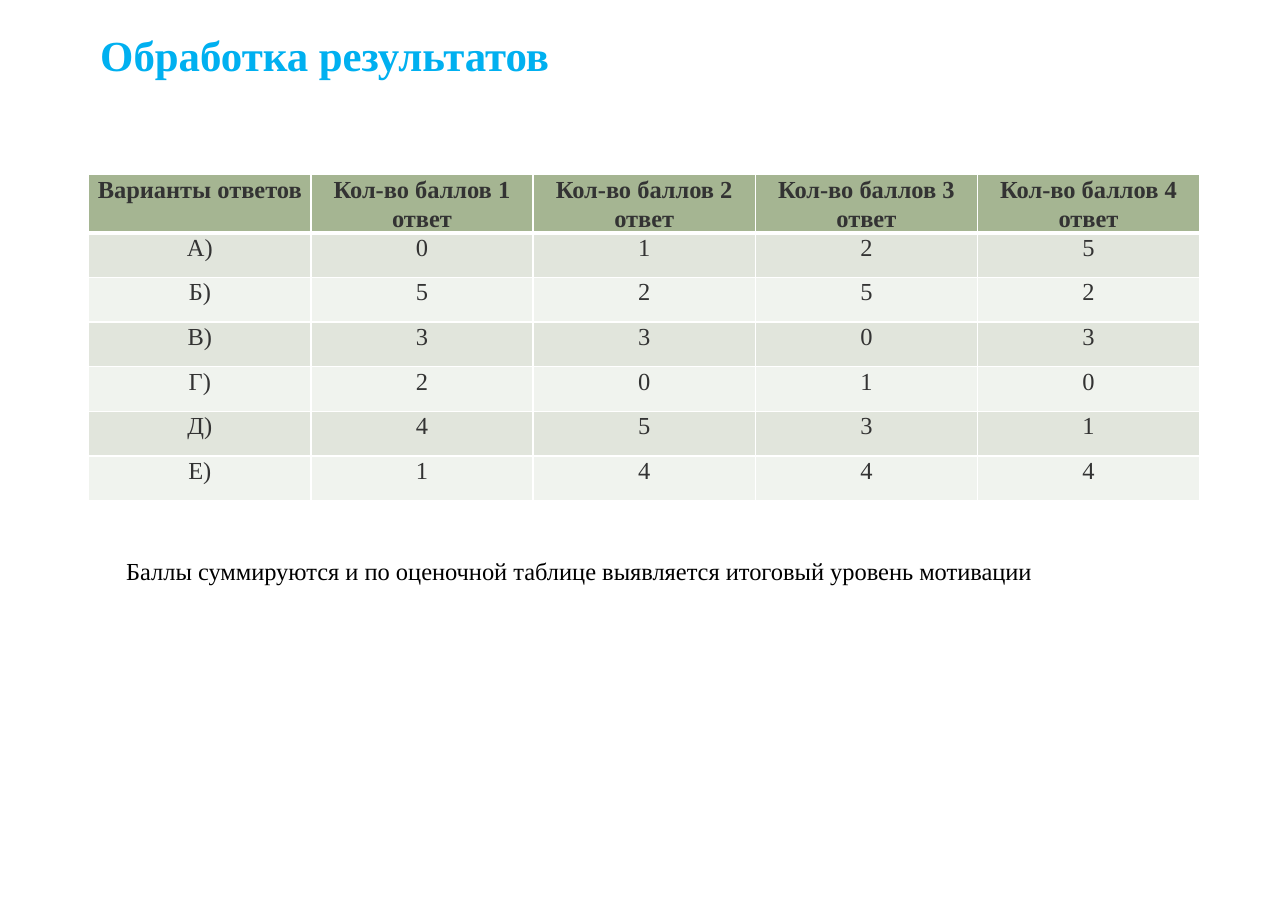
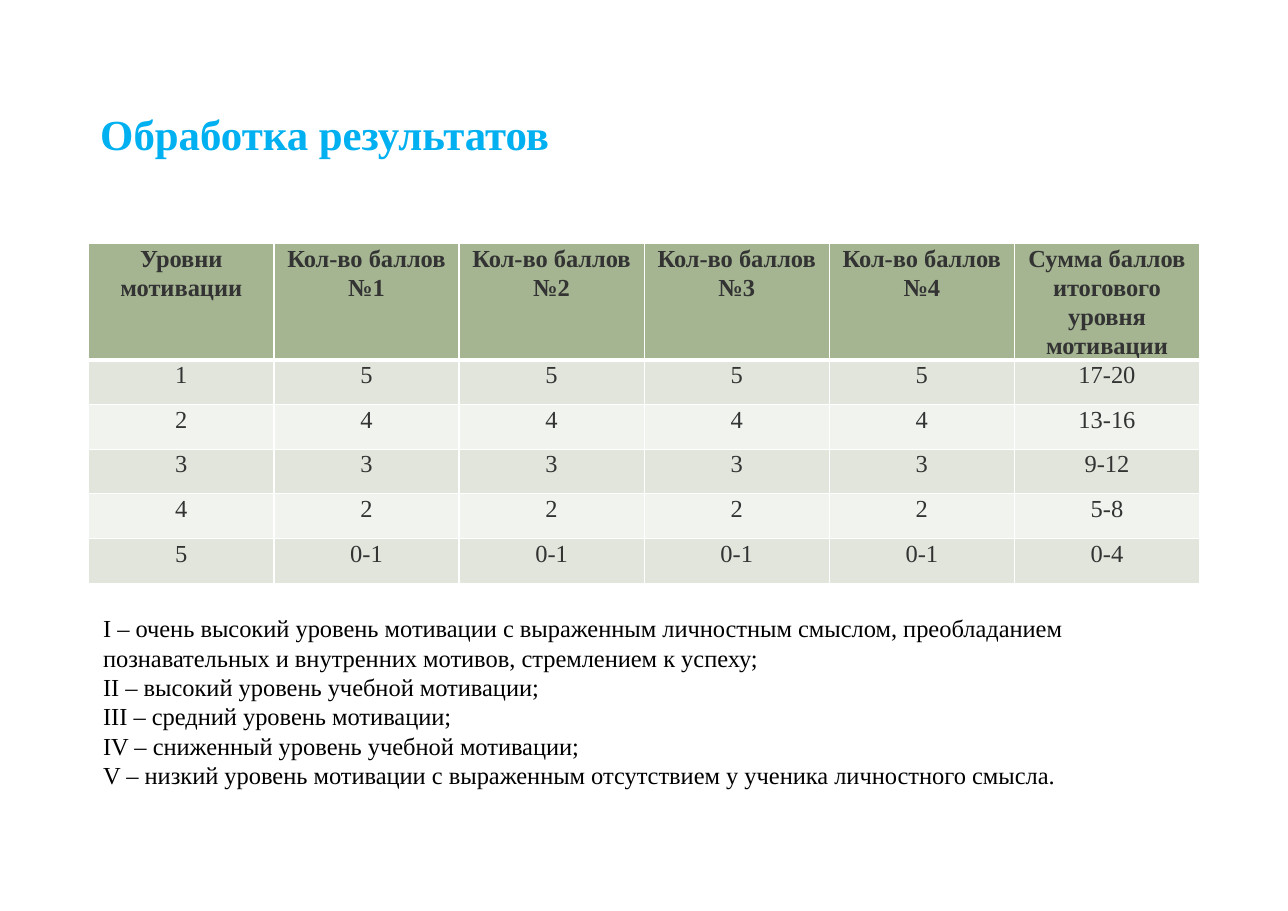
from lxml import etree
from pptx import Presentation
from pptx import util as u
from pptx.dml import color
from pptx.enum import text
from pptx.oxml import ns

COLORS = {"title": "00B0F0", "header": "A5B592", "odd": "E1E5DC", "even": "F0F3EE",
          "cell": "333333", "body": "000000", "border": "FFFFFF"}
FONT = "Times New Roman"
TABLE_LEFT, TABLE_WIDTH, ROW_HEIGHT = 58, 726, 29.2

SLIDES = [
    {"title_top": -20, "table_top": 114, "header_height": 37.5,
     "rows": [["Варианты ответов"] + [f"Кол-во баллов {n} ответ" for n in range(1, 5)],
              ["А)", "0", "1", "2", "5"],
              ["Б)", "5", "2", "5", "2"],
              ["В)", "3", "3", "0", "3"],
              ["Г)", "2", "0", "1", "0"],
              ["Д)", "4", "5", "3", "1"],
              ["Е)", "1", "4", "4", "4"]],
     "note_box": (75.4, 360, 729.4, 26.6),
     "note": ["Баллы суммируются и по оценочной таблице выявляется итоговый уровень мотивации"]},
    {"title_top": 31.7, "table_top": 159.2, "header_height": 75.5,
     "rows": [["Уровни мотивации"] + [f"Кол-во баллов №{n}" for n in range(1, 5)]
              + ["Сумма баллов итогового уровня мотивации"],
              ["1"] + ["5"] * 4 + ["17-20"],
              ["2"] + ["4"] * 4 + ["13-16"],
              ["3"] + ["3"] * 4 + ["9-12"],
              ["4"] + ["2"] * 4 + ["5-8"],
              ["5"] + ["0-1"] * 4 + ["0-4"]],
     "note_box": (60.3, 397.4, 724.3, 123.8),
     "note": ["I – очень высокий уровень мотивации с выраженным личностным смыслом, "
              "преобладанием познавательных и внутренних мотивов, стремлением к успеху;",
              "II – высокий уровень учебной мотивации;",
              "III – средний уровень мотивации;",
              "IV – сниженный уровень учебной мотивации;",
              "V – низкий уровень мотивации с выраженным отсутствием у ученика "
              "личностного смысла."]},
]


def style_paragraph(paragraph, size, color_name, bold=False):
    font = paragraph.font
    font.name, font.size, font.bold = FONT, u.Pt(size), bold
    font.color.rgb = color.RGBColor.from_string(COLORS[color_name])


def add_border(cell, side, width):
    properties = cell._tc.get_or_add_tcPr()
    line = etree.SubElement(properties, ns.qn(f"a:ln{side}"), w=str(u.Pt(width)))
    fill = etree.SubElement(line, ns.qn("a:solidFill"))
    etree.SubElement(fill, ns.qn("a:srgbClr"), val=COLORS["border"])


presentation = Presentation()
presentation.slide_width, presentation.slide_height = u.Pt(841.68), u.Pt(595.44)

for content in SLIDES:
    slide = presentation.slides.add_slide(presentation.slide_layouts[5])

    # Title
    title = slide.shapes.title
    title.left, title.top = u.Pt(57.6), u.Pt(content["title_top"])
    title.width, title.height = u.Pt(726.5), u.Pt(115.2)
    frame = title.text_frame
    frame.text = "Обработка результатов"
    frame.auto_size = text.MSO_AUTO_SIZE.NONE
    frame.vertical_anchor = text.MSO_ANCHOR.MIDDLE
    frame.margin_left = frame.margin_right = u.Pt(7.9)
    frame.margin_top = frame.margin_bottom = u.Pt(4.3)
    paragraph = frame.paragraphs[0]
    paragraph.alignment = text.PP_ALIGN.LEFT
    paragraph.line_spacing = 0.9
    style_paragraph(paragraph, 28, "title", bold=True)

    # Score table
    rows = content["rows"]
    heights = [content["header_height"]] + [ROW_HEIGHT] * (len(rows) - 1)
    table = slide.shapes.add_table(
        len(rows), len(rows[0]), u.Pt(TABLE_LEFT), u.Pt(content["table_top"]),
        u.Pt(TABLE_WIDTH), u.Pt(sum(heights))).table
    for row_index, values in enumerate(rows):
        table.rows[row_index].height = u.Pt(heights[row_index])
        is_header = row_index == 0
        fill_name = "header" if is_header else "odd" if row_index % 2 else "even"
        for column_index, value in enumerate(values):
            cell = table.cell(row_index, column_index)
            cell.text = value
            cell.margin_left = cell.margin_right = u.Pt(5)
            cell.margin_top = cell.margin_bottom = 0
            top_width = 3 if row_index == 1 else 1
            bottom_width = 3 if is_header else 1
            for side, width in zip("LRTB", (1, 1, top_width, bottom_width)):
                add_border(cell, side, width)
            cell.fill.solid()
            cell.fill.fore_color.rgb = color.RGBColor.from_string(COLORS[fill_name])
            paragraph = cell.text_frame.paragraphs[0]
            paragraph.alignment = text.PP_ALIGN.CENTER
            paragraph.line_spacing = 1.07
            style_paragraph(paragraph, 16, "cell", bold=is_header)

    # Note under the table
    note = slide.shapes.add_textbox(*map(u.Pt, content["note_box"])).text_frame
    note.word_wrap = True
    note.auto_size = text.MSO_AUTO_SIZE.SHAPE_TO_FIT_TEXT
    note.text = "\n".join(content["note"])
    for paragraph in note.paragraphs:
        style_paragraph(paragraph, 16, "body")

presentation.save("out.pptx")
